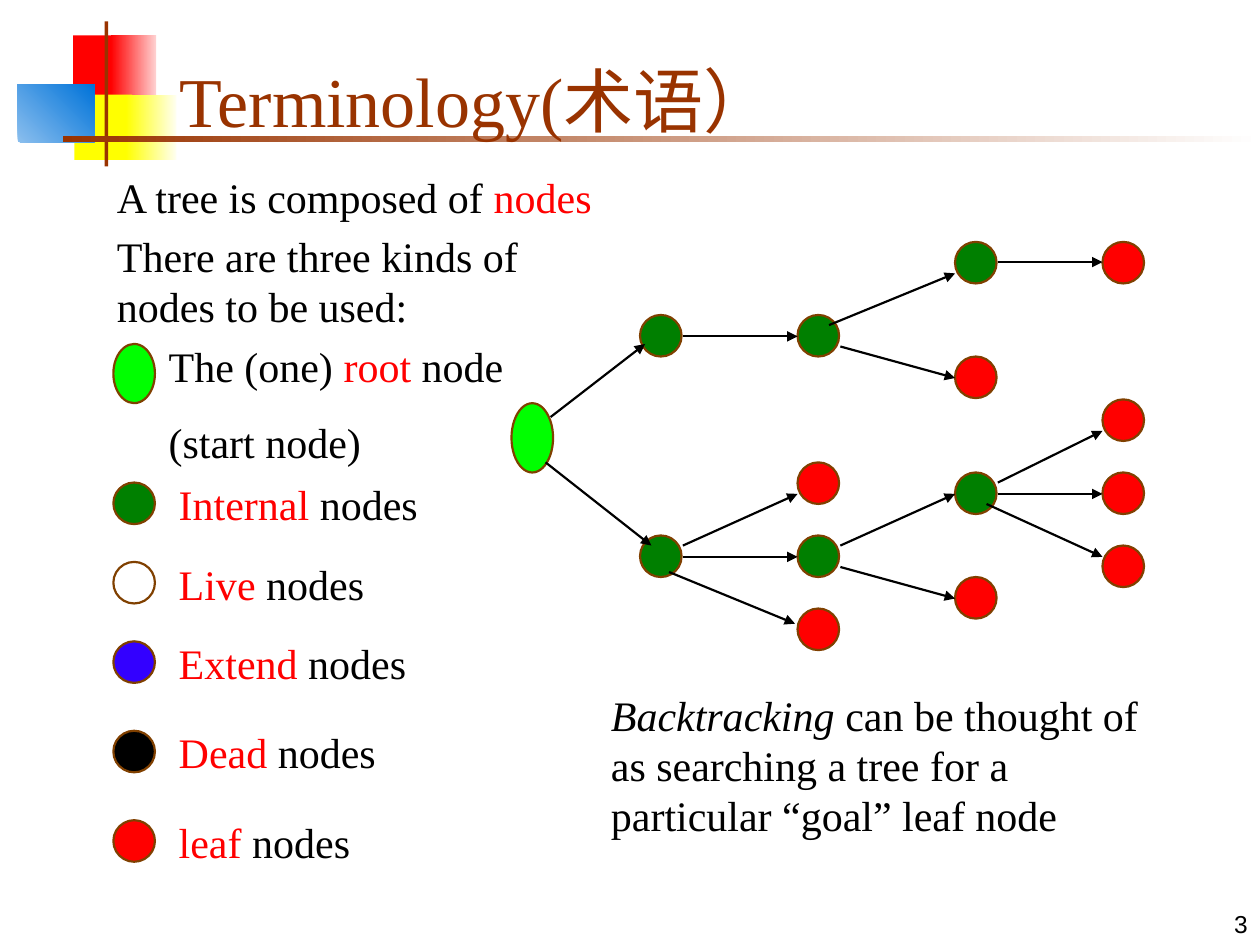
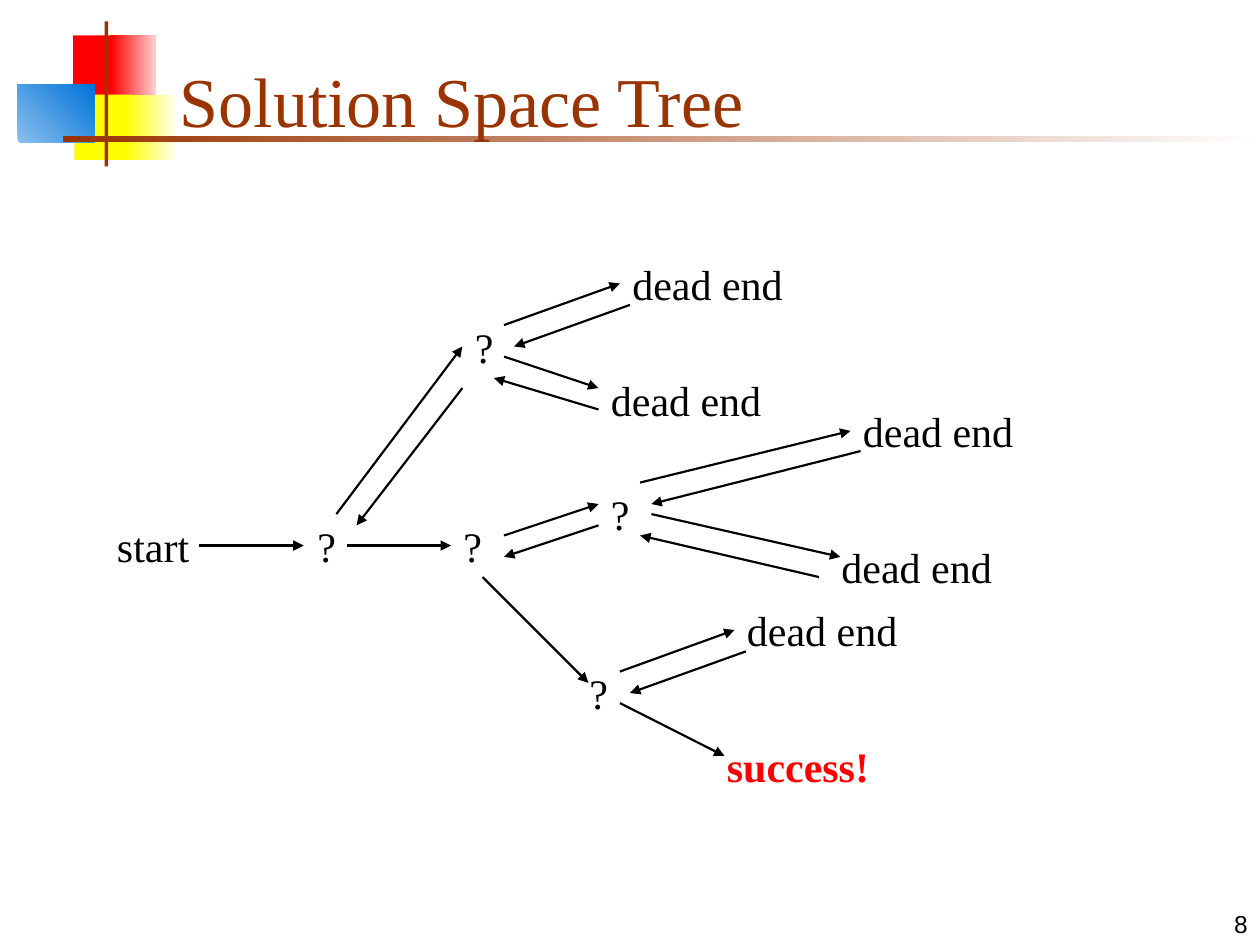
from lxml import etree
from pptx import Presentation
from pptx.dml.color import RGBColor
from pptx.enum import shapes, text
from pptx.oxml.ns import qn
from pptx.util import Inches, Pt

SERIF = "Times New Roman"
BLACK, RED, YELLOW, BROWN = "000000", "FF0000", "FFFF00", "993300"
ROOT, INTERNAL, OUTLINE = "00FF00", "007F00", "804000"
NODE = 0.33

BANDS = [
    (0.58, 0.28, 0.35, 0.52, (RED,), 0),
    (0.88, 0.28, 0.36, 0.52, (RED, "FFD1D1"), 0),
    (0.59, 0.75, 0.46, 0.52, (YELLOW,), 0),
    (1, 0.75, 0.4, 0.52, (YELLOW, "FFFFF0"), 0),
    (0.14, 0.67, 0.61, 0.46, ("8BBFEE", "0073D9"), 45),
    (0.83, 0.17, 0.03, 1.15, (BROWN,), 0),
    (0.5, 1.08, 9.5, 0.05, (BROWN, "FFFFFF"), 0),
]

COLUMNS = [5.08, 6.33, 7.58, 8.75]
INTERNAL_ROWS = [(2.5, 4.25), (2.5, 4.25), (1.92, 3.75), ()]
LEAF_ROWS = [(), (3.67, 4.83), (2.83, 4.58), (1.92, 3.17, 3.75, 4.33)]

TREE_ARROWS = [
    (4.33, 3.67, 5.17, 4.33), (4.37, 3.31, 5.12, 2.73),
    (5.42, 2.67, 6.33, 2.67), (6.58, 2.58, 7.58, 2.17),
    (6.67, 2.75, 7.58, 3), (7.92, 2.08, 8.75, 2.08),
    (5.42, 4.33, 6.33, 3.92), (5.42, 4.42, 6.33, 4.42),
    (5.31, 4.54, 6.31, 4.95), (6.67, 4.33, 7.58, 3.92),
    (6.67, 4.5, 7.58, 4.75), (7.92, 3.83, 8.75, 3.42),
    (7.92, 3.92, 8.75, 3.92), (7.83, 4, 8.75, 4.42),
]

LEGEND = [
    (3.83, "008000", "Internal"),
    (4.46, "FFFFFF", "Live"),
    (5.09, "3300FF", "Extend"),
    (5.8, BLACK, "Dead"),
    (6.51, RED, "leaf"),
]

QUESTIONS = [(2.42, 4.08), (3.67, 2.5), (3.58, 4.08), (4.75, 3.83), (4.58, 5.25)]
DEAD_ENDS = [(4.75, 2.92), (4.92, 2), (6.58, 4.25), (6.75, 3.17), (5.83, 4.75)]

FORWARD_ARROWS = [
    (1.58, 4.33, 2.41, 4.33), (2.67, 4.08, 3.67, 2.75),
    (2.75, 4.33, 3.58, 4.33), (4, 2.58, 4.92, 2.25),
    (4, 2.83, 4.75, 3.08), (4, 4.25, 4.75, 4),
    (5.08, 3.83, 6.75, 3.42), (5.17, 4.08, 6.67, 4.42),
    (3.83, 4.58, 4.67, 5.42), (4.92, 5.33, 5.83, 5),
    (4.92, 5.58, 5.75, 6),
]
RETURN_ARROWS = [
    (5, 2.42, 4.08, 2.75), (4.75, 3.25, 3.92, 3),
    (3.67, 3.08, 2.83, 4.17), (6.83, 3.58, 5.17, 4),
    (6.5, 4.58, 5.08, 4.25), (4.75, 4.17, 4, 4.42),
    (5.92, 5.17, 5, 5.5),
]


def rgb(color):
    return RGBColor.from_string(color)


def add_band(s, x, y, w, h, colors, angle):
    sp = s.shapes.add_shape(shapes.MSO_SHAPE.RECTANGLE,
                            Inches(x), Inches(y), Inches(w), Inches(h))
    sp.shadow.inherit = False
    sp.line.fill.background()
    if len(colors) == 1:
        sp.fill.solid()
        sp.fill.fore_color.rgb = rgb(colors[0])
        return
    sp.fill.gradient()
    sp.fill.gradient_angle = angle
    for stop, color, position in zip(sp.fill.gradient_stops, colors, (0, 1)):
        stop.color.rgb = rgb(color)
        stop.position = position


def add_text(s, x, y, w, h, paragraphs, size=24, font=SERIF, bold=False,
             align=text.PP_ALIGN.LEFT, anchor=text.MSO_ANCHOR.TOP):
    tf = s.shapes.add_textbox(Inches(x), Inches(y), Inches(w), Inches(h)).text_frame
    tf.word_wrap = True
    tf.vertical_anchor = anchor
    for i, runs in enumerate(paragraphs):
        p = tf.add_paragraph() if i else tf.paragraphs[0]
        p.alignment = align
        if i:
            p.space_before = Pt(15)
        for words, color, italic in runs:
            r = p.add_run()
            r.text = words
            r.font.name = font
            r.font.size = Pt(size)
            r.font.bold = bold
            r.font.italic = italic
            r.font.color.rgb = rgb(color)


def run(words, color=BLACK, italic=False):
    return words, color, italic


def add_node(s, x, y, color, h=NODE):
    sp = s.shapes.add_shape(shapes.MSO_SHAPE.OVAL,
                            Inches(x), Inches(y), Inches(NODE), Inches(h))
    sp.shadow.inherit = False
    sp.fill.solid()
    sp.fill.fore_color.rgb = rgb(color)
    sp.line.color.rgb = rgb(OUTLINE)
    sp.line.width = Pt(1.25)


def add_arrow(s, x1, y1, x2, y2):
    c = s.shapes.add_connector(shapes.MSO_CONNECTOR.STRAIGHT,
                               Inches(x1), Inches(y1), Inches(x2), Inches(y2))
    c.line.color.rgb = rgb(BLACK)
    c.line.width = Pt(1.25)
    etree.SubElement(c.line._get_or_add_ln(), qn("a:tailEnd"), type="triangle")
    etree.SubElement(c._element.spPr, qn("a:effectLst"))


def add_slide(prs, title, number):
    s = prs.slides.add_slide(prs.slide_layouts[6])
    for band in BANDS:
        add_band(s, *band)
    add_text(s, 7.92, 7, 2.08, 0.5, [[run(number)]], size=14, font="Arial",
             align=text.PP_ALIGN.RIGHT, anchor=text.MSO_ANCHOR.BOTTOM)
    add_text(s, 1.33, 0.25, 8.52, 0.92, [[run(title, BROWN)]], size=40,
             anchor=text.MSO_ANCHOR.BOTTOM)
    return s


def add_terminology(prs):
    s = add_slide(prs, "Terminology(术语）", "3")
    add_node(s, 4.06, 3.2, ROOT, 0.55)
    for x, internal, leaves in zip(COLUMNS, INTERNAL_ROWS, LEAF_ROWS):
        for y in internal:
            add_node(s, x, y, INTERNAL)
        for y in leaves:
            add_node(s, x, y, RED)
    for arrow in TREE_ARROWS:
        add_arrow(s, *arrow)

    add_text(s, 0.83, 1.31, 4.17, 0.5,
             [[run("A tree is composed of "), run("nodes", RED)]])
    add_text(s, 0.83, 1.78, 3.5, 0.9,
             [[run("There are three kinds of nodes to be used:")]])
    add_node(s, 0.9, 2.73, ROOT, 0.47)
    add_text(s, 1.24, 2.65, 4.08, 1.11,
             [[run("The (one) "), run("root", RED), run(" node")],
              [run("(start node)")]])
    for y, color, kind in LEGEND:
        add_node(s, 0.9, y, color)
        add_text(s, 1.32, y - 0.08, 2.58, 0.5, [[run(kind, RED), run(" nodes")]])
    add_text(s, 4.75, 5.42, 4.42, 1.3,
             [[run("Backtracking", italic=True),
               run(" can be thought of as searching a tree for a "
                   "particular “goal” leaf node")]])


def add_solution_space(prs):
    s = add_slide(prs, "Solution Space Tree", "8")
    add_text(s, 0.83, 4.08, 0.83, 0.5, [[run("start")]])
    for x, y in QUESTIONS:
        add_text(s, x, y, 0.5, 0.5, [[run("?")]])
    for x, y in DEAD_ENDS:
        add_text(s, x, y, 1.75, 0.5, [[run("dead end")]])
    add_text(s, 5.67, 5.83, 1.75, 0.5, [[run("success!", RED)]], bold=True)
    for arrow in FORWARD_ARROWS + RETURN_ARROWS:
        add_arrow(s, *arrow)


def main():
    prs = Presentation()
    prs.slide_width, prs.slide_height = Inches(10), Inches(7.5)
    add_terminology(prs)
    add_solution_space(prs)
    prs.save("out.pptx")


if __name__ == "__main__":
    main()
